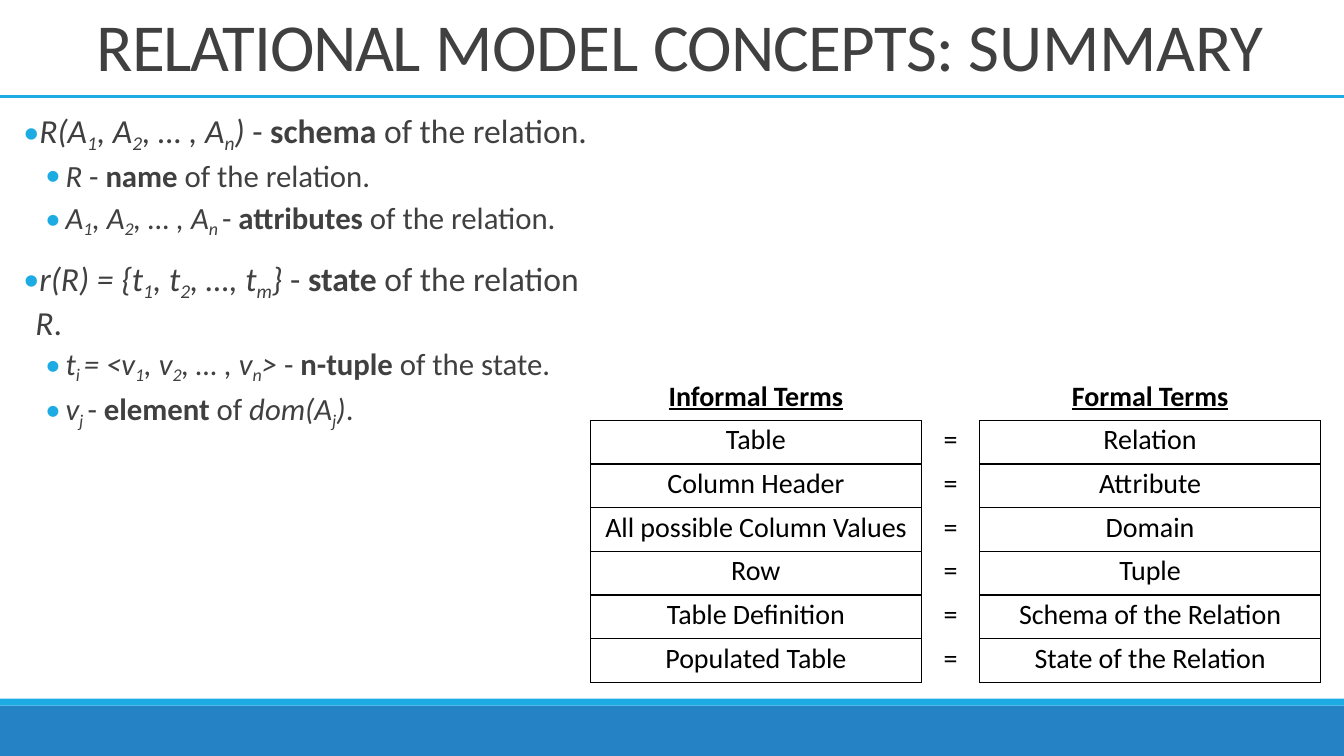
"""Build the summary slide of relational model concepts."""
import pptx
import pptx.dml.color
import pptx.enum.shapes
import pptx.enum.text
import pptx.oxml
import pptx.oxml.ns
import pptx.util

Pt = pptx.util.Pt
ALIGN = pptx.enum.text.PP_ALIGN
ANCHOR = pptx.enum.text.MSO_ANCHOR
NAMESPACE = pptx.oxml.ns.nsdecls("a")
ACCENT, GREY, BLACK = "1CACE3", "404040", "000000"


def color(value):
    return pptx.dml.color.RGBColor.from_string(value)


def write_run(paragraph, text, size, ink=GREY, bold=False, italic=False,
              underline=False, subscript=False, spacing=0):
    run = paragraph.add_run()
    run.text = text
    font = run.font
    font.name, font.size, font.color.rgb = "Calibri", Pt(size), color(ink)
    font.bold, font.italic, font.underline = bold, italic, underline
    properties = run._r.get_or_add_rPr()
    if subscript:
        properties.set("baseline", "-21000")
    if spacing:
        properties.set("spc", str(round(spacing * 100)))


presentation = pptx.Presentation()
presentation.slide_width, presentation.slide_height = Pt(960), Pt(540)
slide = presentation.slides.add_slide(presentation.slide_layouts[5])

for top, height, fill in ((504, 36, "2583C5"), (499, 5, ACCENT)):
    bar = slide.shapes.add_shape(
        pptx.enum.shapes.MSO_SHAPE.RECTANGLE, 0, Pt(top), Pt(960), Pt(height))
    bar.shadow.inherit = False
    bar.fill.solid()
    bar.fill.fore_color.rgb = color(fill)
    bar.line.fill.background()

title = slide.shapes.title
title.left, title.top, title.width, title.height = Pt(8), Pt(2), Pt(945), Pt(61)
body = slide.shapes.add_textbox(Pt(13.7), Pt(75.6), Pt(423.4), Pt(190))
for shape, margin_top in ((title, 1), (body, 3)):
    frame = shape.text_frame
    frame.word_wrap = True
    frame.auto_size = pptx.enum.text.MSO_AUTO_SIZE.NONE
    frame.vertical_anchor = ANCHOR.TOP
    frame.margin_left = frame.margin_right = frame.margin_bottom = 0
    frame.margin_top = Pt(margin_top)

heading = title.text_frame.paragraphs[0]
heading.alignment = ALIGN.LEFT
heading.space_before = Pt(1)
heading._p.get_or_add_pPr().set("marL", str(Pt(61.2)))
for word, spacing in (("RELATIONAL ", -0.9), ("MODEL ", -0.2),
                      ("CONCEPTS: ", -0.6), ("SUMMARY", -0.1)):
    write_run(heading, word, 48, spacing=spacing)

PLAIN = {}
BOLD = {"bold": True}
ITALIC = {"italic": True}
SUB = {"italic": True, "subscript": True}
bullets = [
    (0, 2.8, [("R(A", ITALIC), ("1", SUB), (", A", ITALIC), ("2", SUB),
              (", … , A", ITALIC), ("n", SUB), (") ", ITALIC), ("- ", PLAIN),
              ("schema ", BOLD), ("of the relation.", PLAIN)]),
    (1, 1.6, [("R ", ITALIC), ("- ", PLAIN), ("name ", BOLD),
              ("of the relation.", PLAIN)]),
    (1, 3.4, [("A", ITALIC), ("1", SUB), (", A", ITALIC), ("2", SUB),
              (", … , A", ITALIC), ("n ", SUB), ("- ", PLAIN),
              ("attributes ", BOLD), ("of the relation.", PLAIN)]),
    (0, 13, [("r(R) = {t", ITALIC), ("1", SUB), (", t", ITALIC), ("2", SUB),
             (", …, t", ITALIC), ("m", SUB), ("} ", ITALIC), ("- ", PLAIN),
             ("state ", BOLD), ("of the relation ", PLAIN), ("R", ITALIC),
             (".", PLAIN)]),
    (1, 1.6, [("t", ITALIC), ("i ", SUB), ("= <v", ITALIC), ("1", SUB),
              (", v", ITALIC), ("2", SUB), (", … , v", ITALIC), ("n", SUB),
              ("> ", ITALIC), ("- ", PLAIN), ("n-tuple ", BOLD),
              ("of the state.", PLAIN)]),
    (1, 3.4, [("v", ITALIC), ("j ", SUB), ("- ", PLAIN), ("element ", BOLD),
              ("of ", PLAIN), ("dom(A", ITALIC), ("j", SUB), (")", ITALIC),
              (".", PLAIN)]),
]
level_formats = [(24, 11.5, -8.6, 96), (22, 33.1, -14.4, 100)]
for index, (level, space_before, runs) in enumerate(bullets):
    size, margin, indent, bullet_percent = level_formats[level]
    frame = body.text_frame
    paragraph = frame.add_paragraph() if index else frame.paragraphs[0]
    paragraph.level = level
    paragraph.space_before = Pt(space_before)
    properties = paragraph._p.get_or_add_pPr()
    properties.set("marL", str(Pt(margin)))
    properties.set("indent", str(Pt(indent)))
    for xml in (f'<a:buClr {NAMESPACE}><a:srgbClr val="{ACCENT}"/></a:buClr>',
                f'<a:buSzPct {NAMESPACE} val="{bullet_percent * 1000}"/>',
                f'<a:buFont {NAMESPACE} typeface="Calibri"/>',
                f'<a:buChar {NAMESPACE} char="•"/>'):
        properties.append(pptx.oxml.parse_xml(xml))
    for text, style in runs:
        write_run(paragraph, text, size, **style)

rule = slide.shapes.add_connector(
    pptx.enum.shapes.MSO_CONNECTOR.STRAIGHT, 0, Pt(69), Pt(960), Pt(69))
rule.line.color.rgb = color(ACCENT)
rule.line.width = Pt(2.25)
rule._element.spPr.append(pptx.oxml.parse_xml(f"<a:effectLst {NAMESPACE}/>"))

terms = [
    ("Informal Terms", "Formal Terms"),
    ("Table", "Relation"),
    ("Column Header", "Attribute"),
    ("All possible Column Values", "Domain"),
    ("Row", "Tuple"),
    ("Table Definition", "Schema of the Relation"),
    ("Populated Table", "State of the Relation"),
]
table = slide.shapes.add_table(
    len(terms), 3, Pt(421.7), Pt(276.5), Pt(521.4), Pt(211)).table
table.first_row = table.horz_banding = False
for column, width in zip(table.columns, (236.4, 41.8, 243.2)):
    column.width = Pt(width)
for row_index, (informal, formal) in enumerate(terms):
    is_header = row_index == 0
    table.rows[row_index].height = Pt(23.8 if is_header else 31.2)
    for column_index, text in enumerate((informal, "" if is_header else "=", formal)):
        cell = table.cell(row_index, column_index)
        cell.margin_left = cell.margin_right = cell.margin_bottom = 0
        cell.margin_top = Pt(0 if is_header else 2)
        cell.vertical_anchor = ANCHOR.TOP
        cell.fill.background()
        paragraph = cell.text_frame.paragraphs[0]
        paragraph.alignment = ALIGN.CENTER
        if is_header:
            paragraph.line_spacing = Pt(19.1)
        else:
            paragraph.space_before = Pt(2.5)
        if text:
            write_run(paragraph, text, 20, BLACK, bold=is_header,
                      underline=is_header, spacing=-0.05)
        is_middle = column_index == 1
        if is_header:
            drawn_sides = "" if is_middle else "B"
        else:
            drawn_sides = "LR" if is_middle else "LRTB"
        for position, side in enumerate("LRTB"):
            paint = (f'<a:solidFill><a:srgbClr val="{BLACK}"/></a:solidFill>'
                     if side in drawn_sides else "<a:noFill/>")
            cell._tc.get_or_add_tcPr().insert(position, pptx.oxml.parse_xml(
                f'<a:ln{side} {NAMESPACE} w="{Pt(1)}">{paint}</a:ln{side}>'))

presentation.save("out.pptx")
